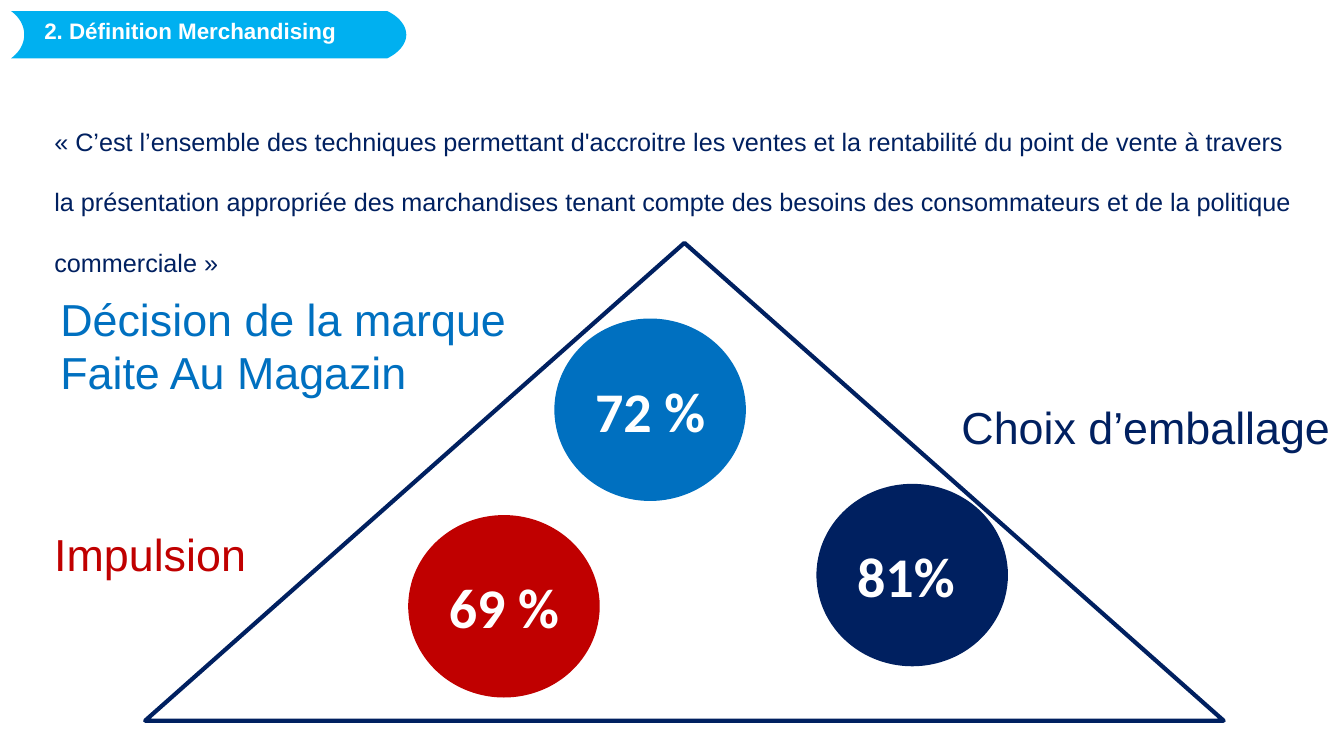
from pptx import Presentation
from pptx.dml.color import RGBColor
from pptx.enum.shapes import MSO_SHAPE as Preset
from pptx.enum.text import MSO_ANCHOR as Anchor, MSO_AUTO_SIZE as AutoSize, PP_ALIGN as Align
from pptx.util import Pt

NAVY = RGBColor(0x00, 0x20, 0x60)
BLUE = RGBColor(0x00, 0x70, 0xC0)
RED = RGBColor(0xC0, 0x00, 0x00)
SKY = RGBColor(0x00, 0xB0, 0xF0)
WHITE = RGBColor(0xFF, 0xFF, 0xFF)

HEADING = "2. Définition Merchandising"
DEFINITION = (
    "« C’est l’ensemble des techniques permettant d'accroitre les ventes et la "
    "rentabilité du point de vente à travers la présentation appropriée des "
    "marchandises tenant compte des besoins des consommateurs et de la politique "
    "commerciale »"
)
SHARES = [
    ("69 % ", RED, 291.6, 367.9),
    ("72 % ", BLUE, 396, 227.5),
    ("81% ", NAVY, 583.2, 345.6),
]
REASONS = [
    ("Impulsion", RED, (31.7, 373, 204.5, 46)),
    ("Décision de la marque Faite Au Magazin", BLUE, (36, 204.5, 347, 85)),
    ("Choix d’emballage", NAVY, (679.7, 282.2, 290.2, 46)),
]
SHARE_SIZE = (136.8, 130.3)
TRIANGLE = (103.7, 173.5, 770.4, 341.3)

BANNER_MIDDLE = 24.8
BANNER_TIP = [(276.5, 7.9), (284.4, 11.5), (290.2, 18), (290.2, BANNER_MIDDLE)]
BANNER_NOTCH = [(7.9, 7.9), (13.7, 12.2), (17.3, 18), (17.3, BANNER_MIDDLE)]
CURVE_STEPS = 16


def points(values):
    return [Pt(value) for value in values]


def curved_edge(controls):
    upper = []
    for step in range(CURVE_STEPS + 1):
        t = step / CURVE_STEPS
        weights = ((1 - t) ** 3, 3 * t * (1 - t) ** 2, 3 * t * t * (1 - t), t ** 3)
        upper.append([sum(w * c[axis] for w, c in zip(weights, controls)) for axis in (0, 1)])
    lower = [(x, 2 * BANNER_MIDDLE - y) for x, y in reversed(upper[:-1])]
    return [points(corner) for corner in upper + lower]


def write(frame, text, size, color, font="Arial", bold=False):
    frame.text = text
    frame.word_wrap = True
    style = frame.paragraphs[0].runs[0].font
    style.name, style.size, style.bold = font, Pt(size), bold
    style.color.rgb = color


def add_text(slide, text, box, size, color, bold=False):
    frame = slide.shapes.add_textbox(*points(box)).text_frame
    write(frame, text, size, color, bold=bold)
    frame.auto_size = AutoSize.SHAPE_TO_FIT_TEXT
    return frame


def add_share(slide, text, color, left, top):
    disc = slide.shapes.add_shape(Preset.OVAL, *points((left, top, *SHARE_SIZE)))
    disc.shadow.inherit = False
    disc.fill.solid()
    disc.fill.fore_color.rgb = color
    disc.line.fill.background()
    write(disc.text_frame, text, 40, WHITE, "Calibri", True)
    disc.text_frame.vertical_anchor = Anchor.MIDDLE
    disc.text_frame.paragraphs[0].alignment = Align.CENTER


def add_banner(slide):
    outline = curved_edge(BANNER_TIP) + curved_edge(BANNER_NOTCH)[::-1]
    builder = slide.shapes.build_freeform(*outline[0])
    builder.add_line_segments(outline[1:], close=True)
    banner = builder.convert_to_shape()
    banner.shadow.inherit = False
    banner.fill.solid()
    banner.fill.fore_color.rgb = SKY
    banner.line.fill.background()
    heading = add_text(slide, HEADING, (31.7, 12.2, 216, 24.5), 16, WHITE, True)
    heading.auto_size = AutoSize.NONE
    heading.margin_left = heading.margin_right = 0
    heading.margin_top = heading.margin_bottom = 0


def main():
    deck = Presentation()
    deck.slide_width, deck.slide_height = Pt(960), Pt(540)
    slide = deck.slides.add_slide(deck.slide_layouts[6])

    definition = add_text(slide, DEFINITION, (31.7, 64.8, 910.8, 131.8), 18, NAVY)
    definition.paragraphs[0].line_spacing = 2.0
    for share in SHARES:
        add_share(slide, *share)

    triangle = slide.shapes.add_shape(Preset.ISOSCELES_TRIANGLE, *points(TRIANGLE))
    triangle.shadow.inherit = False
    triangle.fill.background()
    triangle.line.color.rgb = NAVY
    triangle.line.width = Pt(3)

    for reason, color, box in REASONS:
        add_text(slide, reason, box, 32, color)
    add_banner(slide)
    deck.save("out.pptx")


if __name__ == "__main__":
    main()
